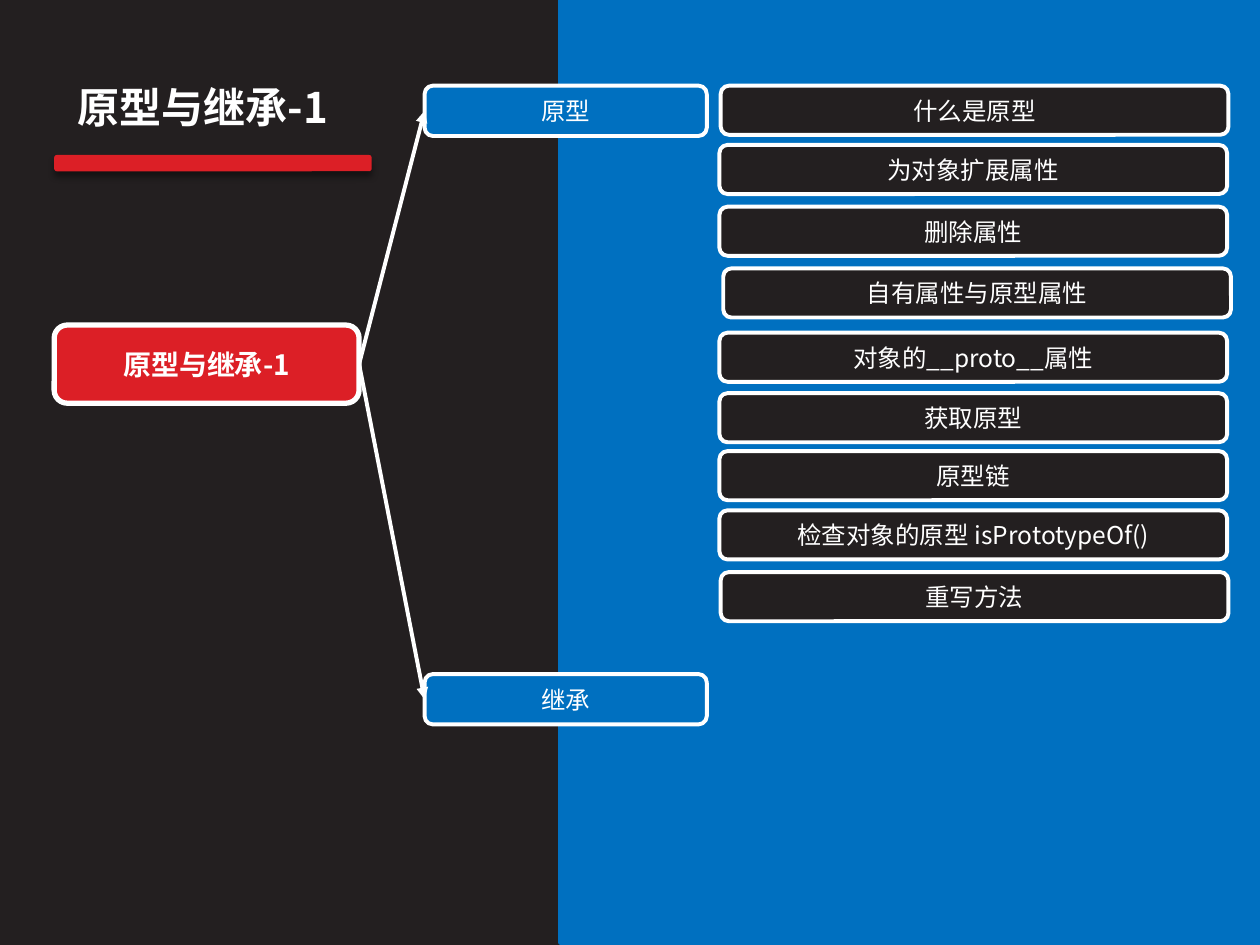
from dataclasses import dataclass

from lxml.etree import SubElement
from pptx import Presentation
from pptx.dml.color import RGBColor
from pptx.enum.shapes import MSO_CONNECTOR, MSO_SHAPE
from pptx.enum.text import MSO_ANCHOR, MSO_AUTO_SIZE, PP_ALIGN
from pptx.oxml.ns import qn
from pptx.shapes.autoshape import Shape
from pptx.slide import Slide
from pptx.text.text import TextFrame
from pptx.util import Inches, Pt

COLORS = {"dark": "231F20", "blue": "0070C0", "red": "DC1F26",
          "white": "FFFFFF", "shadow": "000000"}
FONT = "Noto Sans CJK SC"
HEADING = "原型与继承-1"


@dataclass
class Box:
    text: str
    left: float
    top: float
    width: float
    height: float
    fill: str
    border: float = 2.25
    size: float = 14
    bold: bool = False


def color(name: str) -> RGBColor:
    return RGBColor.from_string(COLORS[name])


def write_text(frame: TextFrame, text: str, size: float, bold: bool) -> None:
    frame.word_wrap = True
    frame.text = text
    paragraph = frame.paragraphs[0]
    paragraph.alignment = PP_ALIGN.CENTER
    paragraph.font.name = FONT
    paragraph.font.size = Pt(size)
    paragraph.font.bold = bold
    paragraph.font.color.rgb = color("white")
    # East Asian glyphs take their typeface from a separate element
    properties = paragraph._p.pPr.find(qn("a:defRPr"))
    SubElement(properties, qn("a:ea"), typeface=FONT)


def add_panel(slide: Slide, kind: MSO_SHAPE, left: float, top: float,
              width: float, height: float, fill: str) -> Shape:
    shape = slide.shapes.add_shape(kind, Inches(left), Inches(top),
                                   Inches(width), Inches(height))
    shape.shadow.inherit = False
    shape.fill.solid()
    shape.fill.fore_color.rgb = color(fill)
    shape.line.fill.background()
    return shape


def set_border(shape: Shape, name: str, width: float) -> None:
    shape.line.color.rgb = color(name)
    shape.line.width = Pt(width)


def add_box(slide: Slide, box: Box) -> None:
    shape = add_panel(slide, MSO_SHAPE.ROUNDED_RECTANGLE, box.left, box.top,
                      box.width, box.height, box.fill)
    set_border(shape, "white", box.border)
    shape.text_frame.vertical_anchor = MSO_ANCHOR.MIDDLE
    write_text(shape.text_frame, box.text, box.size, box.bold)


def add_arrow(slide: Slide, start: Box, end: Box) -> None:
    connector = slide.shapes.add_connector(
        MSO_CONNECTOR.STRAIGHT,
        Inches(start.left + start.width), Inches(start.top + start.height / 2),
        Inches(end.left), Inches(end.top + end.height / 2))
    connector.line.color.rgb = color("white")
    connector.line.width = Pt(2.25)
    SubElement(connector.line._get_or_add_ln(), qn("a:tailEnd"), type="triangle")
    SubElement(connector._element.spPr, qn("a:effectLst"))


def add_drop_shadow(shape: Shape) -> None:
    effects = shape._element.spPr.find(qn("a:effectLst"))
    shadow = SubElement(effects, qn("a:outerShdw"), blurRad=str(Pt(4)),
                        dist=str(Pt(3)), dir="5400000", rotWithShape="0")
    shade = SubElement(shadow, qn("a:srgbClr"), val=COLORS["shadow"])
    SubElement(shade, qn("a:alpha"), val="43000")


def add_heading(slide: Slide) -> None:
    title = slide.shapes.title
    title.left, title.top = Inches(-0.2), Inches(0.6)
    title.width, title.height = Inches(3.62), Inches(0.71)
    title.text_frame.auto_size = MSO_AUTO_SIZE.NONE
    title.text_frame.vertical_anchor = MSO_ANCHOR.TOP
    write_text(title.text_frame, HEADING, 24, True)
    underline = add_panel(slide, MSO_SHAPE.ROUNDED_RECTANGLE,
                          0.43, 1.23, 2.52, 0.13, "red")
    add_drop_shadow(underline)


ROOT = Box(HEADING, 0.43, 2.58, 2.42, 0.62, "red", border=3, size=16, bold=True)
BRANCHES = [Box(text, 3.37, top, 2.24, 0.4, "blue")
            for text, top in (("原型", 0.68), ("继承", 5.35))]
# Topic, left, top
TOPICS = [
    ("什么是原型", 5.72, 0.68),
    ("为对象扩展属性", 5.71, 1.15),
    ("删除属性", 5.71, 1.64),
    ("自有属性与原型属性", 5.74, 2.13),
    ("对象的__proto__属性", 5.71, 2.64),
    ("获取原型", 5.71, 3.12),
    ("原型链", 5.71, 3.58),
    ("检查对象的原型 isPrototypeOf()", 5.71, 4.05),
    ("重写方法", 5.72, 4.54),
]


def main() -> None:
    presentation = Presentation()
    presentation.slide_width = Inches(10)
    presentation.slide_height = Inches(7.5)
    slide = presentation.slides.add_slide(presentation.slide_layouts[5])

    # Background and right-hand panel
    slide.background.fill.solid()
    slide.background.fill.fore_color.rgb = color("dark")
    panel = add_panel(slide, MSO_SHAPE.RECTANGLE, 4.45, 0, 5.55, 7.48, "blue")
    set_border(panel, "blue", 3)

    add_heading(slide)

    # Topic tree
    topics = [Box(text, left, top, 4.03, 0.39, "dark")
              for text, left, top in TOPICS]
    for box in [ROOT, *BRANCHES, *topics]:
        add_box(slide, box)
    for branch in BRANCHES:
        add_arrow(slide, ROOT, branch)

    presentation.save("out.pptx")


if __name__ == "__main__":
    main()
